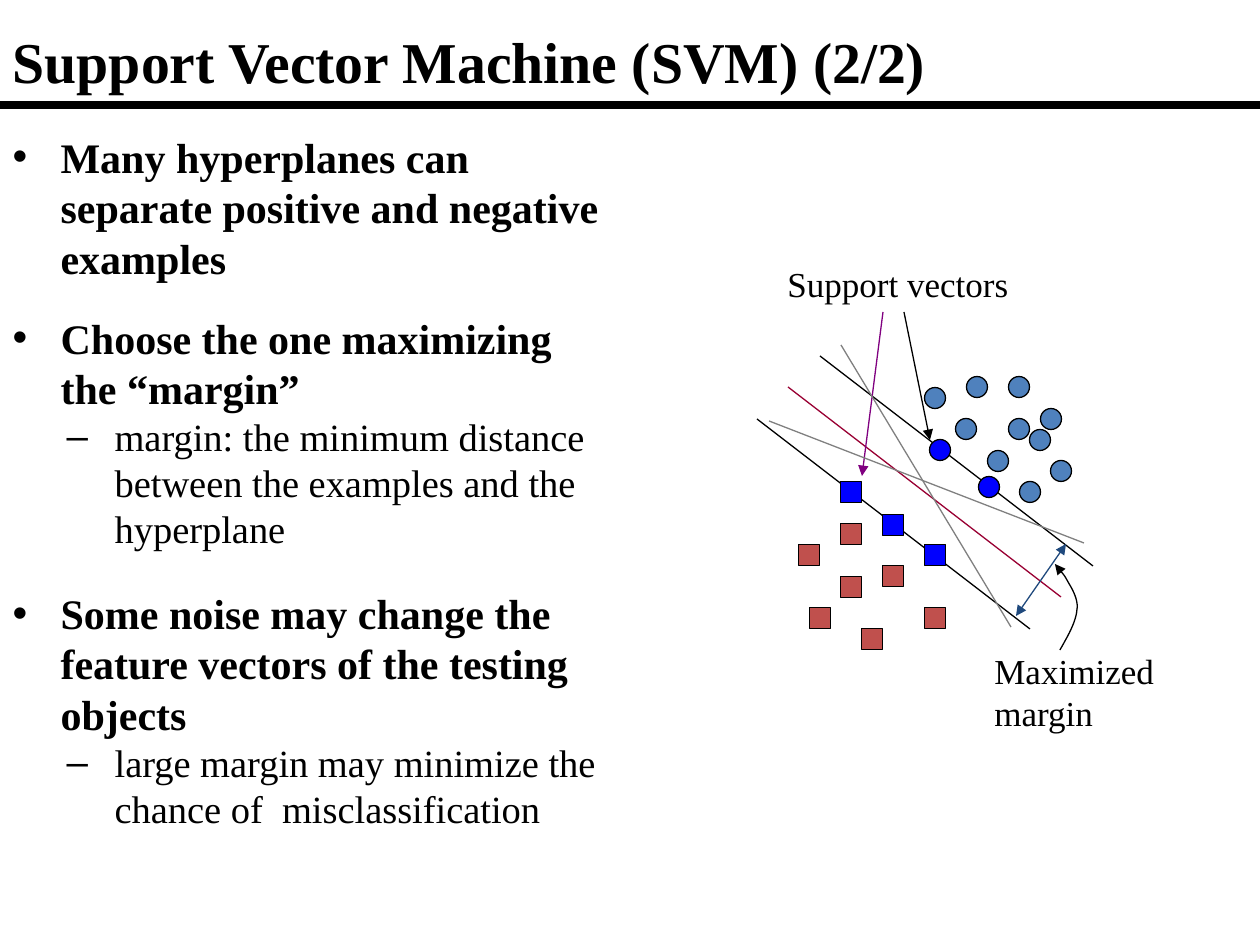
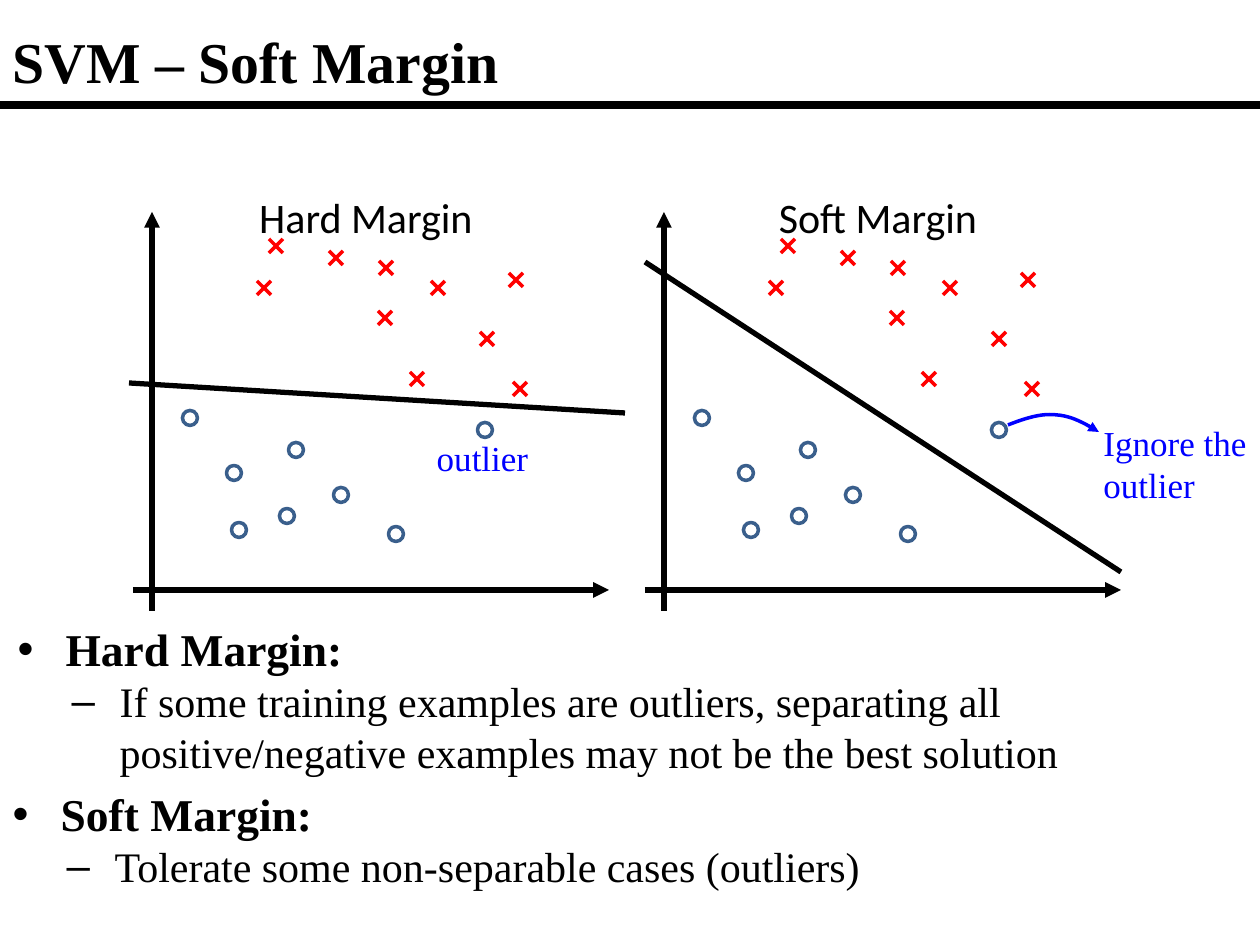
from dataclasses import dataclass
from typing import Sequence

import pptx
import pptx.dml.color
import pptx.enum.shapes
import pptx.enum.text
import pptx.oxml
import pptx.oxml.ns
import pptx.util

RGBColor = pptx.dml.color.RGBColor
Align = pptx.enum.text.PP_ALIGN
Preset = pptx.enum.shapes.MSO_SHAPE
Point = tuple[int, int]

# Shared scale, fonts and colours
EMU_PER_PX = 914400 / 126
SERIF = "Times New Roman"
SANS = "Calibri"
BLACK = RGBColor(0x00, 0x00, 0x00)
GRAY = RGBColor(0x80, 0x80, 0x80)
BLUE = RGBColor(0x00, 0x00, 0xFF)
RED = RGBColor(0xFF, 0x00, 0x00)
POSITIVE = RGBColor(0x4F, 0x81, 0xBD)
NEGATIVE = RGBColor(0xC0, 0x50, 0x4D)
CRIMSON = RGBColor(0x99, 0x00, 0x33)
PURPLE = RGBColor(0x80, 0x00, 0x80)
NAVY = RGBColor(0x1F, 0x49, 0x7D)
RING = RGBColor(0x3A, 0x5F, 0x8C)


@dataclass(frozen=True)
class Line:
    start: Point
    end: Point
    color: RGBColor = BLACK
    width: float = 0.75
    head: bool = False
    tail: bool = False


@dataclass(frozen=True)
class Markers:
    preset: int
    size: int
    centers: Sequence[Point]
    fill: RGBColor | None
    outline: RGBColor = BLACK
    width: float = 0.75


@dataclass(frozen=True)
class Label:
    text: str
    left: int
    top: int
    width: int
    height: int
    size: int = 20
    color: RGBColor = BLACK
    font: str = SERIF
    align: int = Align.LEFT
    wrap: bool = True


@dataclass(frozen=True)
class Item:
    text: str
    size: int
    level: int = 0
    before: float = 0


def px(length: float) -> pptx.util.Emu:
    return pptx.util.Emu(round(length * EMU_PER_PX))


def place(shape, left: int, top: int, width: int, height: int) -> None:
    shape.left, shape.top = px(left), px(top)
    shape.width, shape.height = px(width), px(height)


def style_text(para, size: int, color: RGBColor = BLACK, font: str = SERIF, bold: bool = False) -> None:
    for span in para.runs:
        span.font.name = font
        span.font.size = pptx.util.Pt(size)
        span.font.bold = bold
        span.font.color.rgb = color


def style_line(shape, color: RGBColor, width: float, head: bool = False, tail: bool = False) -> None:
    shape.line.color.rgb = color
    shape.line.width = pptx.util.Pt(width)
    outline = shape.line._get_or_add_ln()
    for tag, wanted in (("a:headEnd", head), ("a:tailEnd", tail)):
        if wanted:
            arrow = pptx.oxml.ns.qn(tag)
            outline.append(outline.makeelement(arrow, {"type": "triangle"}))


def draw_line(page, line: Line) -> None:
    connector = page.shapes.add_connector(
        pptx.enum.shapes.MSO_CONNECTOR.STRAIGHT,
        *(px(value) for value in line.start + line.end))
    style_line(connector, line.color, line.width, line.head, line.tail)
    properties = connector._element.spPr
    properties.append(properties.makeelement(pptx.oxml.ns.qn("a:effectLst"), {}))


def draw_markers(page, markers: Markers) -> None:
    size = markers.size
    for x, y in markers.centers:
        marker = page.shapes.add_shape(
            markers.preset, px(x - size / 2), px(y - size / 2), px(size), px(size))
        marker.shadow.inherit = False
        if markers.fill is None:
            marker.fill.background()
        else:
            marker.fill.solid()
            marker.fill.fore_color.rgb = markers.fill
        style_line(marker, markers.outline, markers.width)


def draw_label(page, label: Label) -> None:
    box = page.shapes.add_textbox(
        px(label.left), px(label.top), px(label.width), px(label.height))
    box.text_frame.word_wrap = label.wrap
    box.text_frame.text = label.text
    for para in box.text_frame.paragraphs:
        para.alignment = label.align
        style_text(para, label.size, label.color, label.font)


def draw_curved_arrow(page, points: Sequence[Point], color: RGBColor, width: float) -> None:
    """Trace a chain of cubic curves that share their end points."""
    steps = 12
    trace = []
    for first in range(0, len(points) - 1, 3):
        corners = points[first:first + 4]
        for step in range(1, steps + 1):
            t = step / steps
            weights = ((1 - t) ** 3, 3 * t * (1 - t) ** 2, 3 * t * t * (1 - t), t ** 3)
            trace.append(tuple(
                px(sum(weight * corner[axis] for weight, corner in zip(weights, corners)))
                for axis in (0, 1)))
    builder = page.shapes.build_freeform(px(points[0][0]), px(points[0][1]), scale=1.0)
    builder.add_line_segments(trace, close=False)
    curve = builder.convert_to_shape()
    curve.shadow.inherit = False
    curve.fill.background()
    style_line(curve, color, width, tail=True)


def fill_list(body, items: Sequence[Item], left: int, top: int, width: int, height: int) -> None:
    place(body, left, top, width, height)
    frame = body.text_frame
    frame.word_wrap = True
    frame.auto_size = pptx.enum.text.MSO_AUTO_SIZE.NONE
    frame.text = "\n".join(item.text for item in items)
    for para, item in zip(frame.paragraphs, items):
        para.level = item.level
        para.space_before = pptx.util.Pt(item.before)
        properties = para._p.get_or_add_pPr()
        properties.set("marL", str(px(48 + 54 * item.level)))
        properties.set("indent", str(px(-48)))
        style_text(para, item.size, bold=item.level == 0)


def add_page(deck, layout: int, title: str):
    page = deck.slides.add_slide(deck.slide_layouts[layout])
    heading = page.shapes.title
    place(heading, 0, 10, 1259, 100)
    heading.text_frame.text = title
    heading.text_frame.vertical_anchor = pptx.enum.text.MSO_ANCHOR.MIDDLE
    heading.text_frame.auto_size = pptx.enum.text.MSO_AUTO_SIZE.NONE
    para = heading.text_frame.paragraphs[0]
    para.alignment = Align.LEFT
    style_text(para, 33, bold=True)
    draw_line(page, Line((0, 105), (1260, 105), width=4.5))
    return page


# Slide 1: hyperplanes and support vectors
def add_svm_page(deck) -> None:
    page = add_page(deck, 1, "Support Vector Machine (SVM) (2/2)")
    fill_list(page.placeholders[1], [
        Item("Many hyperplanes can separate positive and negative examples", 24),
        Item("Choose the one maximizing the “margin”", 24, before=17),
        Item("margin: the minimum distance between the examples and the hyperplane", 22, 1),
        Item("Some noise may change the feature vectors of the testing objects", 24, before=20.5),
        Item("large margin may minimize the chance of  misclassification", 22, 1),
    ], 0, 125, 618, 716)

    # Examples away from the margin
    draw_markers(page, Markers(Preset.OVAL, 21, [
        (977, 387), (1019, 429), (998, 461), (1061, 471), (1030, 492),
        (1019, 387), (935, 398), (1040, 440), (1051, 419), (966, 429)], POSITIVE))
    draw_markers(page, Markers(Preset.RECTANGLE, 21, [
        (851, 534), (872, 639), (893, 576), (935, 618),
        (809, 555), (851, 587), (820, 618)], NEGATIVE))

    # Best hyperplane, its two margins, other hyperplanes and arrows
    for line in (
        Line((788, 387), (1061, 597), CRIMSON),
        Line((820, 356), (1093, 566)),
        Line((757, 419), (1030, 629)),
        Line((883, 312), (862, 476), PURPLE, tail=True),
        Line((904, 312), (930, 440), tail=True),
        Line((1016, 616), (1066, 544), NAVY, head=True, tail=True),
        Line((841, 345), (1011, 627), GRAY),
        Line((769, 421), (1084, 543), GRAY),
    ):
        draw_line(page, line)
    draw_curved_arrow(page, [
        (1060, 650), (1068, 636), (1076, 622), (1077, 610), (1079, 599),
        (1071, 587), (1067, 580), (1063, 572), (1056, 567), (1055, 564)], BLACK, 0.75)
    draw_label(page, Label("Support vectors", 775, 256, 248, 55, wrap=False))
    draw_label(page, Label("Maximized\nmargin", 982, 643, 186, 97, wrap=False))

    # Support vectors
    draw_markers(page, Markers(Preset.OVAL, 21, [(940, 450), (989, 487)], BLUE))
    draw_markers(page, Markers(
        Preset.RECTANGLE, 21, [(851, 492), (893, 525), (935, 555)], BLUE))


def draw_margin_plot(page, name: str, shift: int, boundary: Line, outlier: Point) -> None:
    draw_line(page, boundary)
    draw_line(page, Line((152 + shift, 611), (152 + shift, 212), width=3, tail=True))
    draw_line(page, Line((133 + shift, 590), (609 + shift, 590), width=3, tail=True))

    circles = [(190, 418), (234, 473), (296, 450), (341, 495),
               (287, 516), (239, 530), (396, 534)]
    centers = [(x + shift, y) for x, y in circles] + [outlier]
    draw_markers(page, Markers(Preset.OVAL, 15, centers, None, RING, 2))

    crosses = [(264, 288), (417, 379), (438, 288), (336, 258), (276, 246),
               (386, 268), (487, 339), (385, 318), (516, 280), (520, 389)]
    for x, y in crosses:
        for rise in (-7, 7):
            draw_line(page, Line((x + shift - 7, y + rise), (x + shift + 7, y - rise), RED, 2))
    draw_label(page, Label(name, 242 + shift, 185, 248, 63, 24, font=SANS, align=Align.CENTER))


# Slide 2: hard and soft margin side by side
def add_soft_margin_page(deck) -> None:
    page = add_page(deck, 3, "SVM – Soft Margin")
    hard_list, soft_list = page.placeholders[1], page.placeholders[2]
    fill_list(hard_list, [
        Item("Hard Margin:", 26),
        Item("If some training examples are outliers, separating all "
             "positive/negative examples may not be the best solution", 24, 1),
    ], 5, 615, 1260, 170)
    fill_list(soft_list, [
        Item("Soft Margin:", 26),
        Item("Tolerate some non-separable cases (outliers)", 24, 1),
    ], 0, 780, 1260, 118)

    draw_margin_plot(page, "Hard Margin", 0, Line((129, 383), (625, 413), width=3), (485, 430))
    draw_margin_plot(page, "Soft Margin", 512, Line((645, 262), (1121, 572), width=3), (999, 430))
    draw_label(page, Label("outlier", 402, 430, 161, 55, color=BLUE, align=Align.CENTER))
    draw_label(page, Label("Ignore the outlier", 1091, 415, 194, 97, color=BLUE))
    draw_curved_arrow(page, [
        (1008, 425), (1026, 418), (1042, 413), (1057, 415),
        (1072, 416), (1086, 424), (1099, 432)], BLUE, 2)


def main() -> None:
    deck = pptx.Presentation()
    deck.slide_width, deck.slide_height = px(1260), px(945)
    add_svm_page(deck)
    add_soft_margin_page(deck)
    deck.save("out.pptx")


if __name__ == "__main__":
    main()
